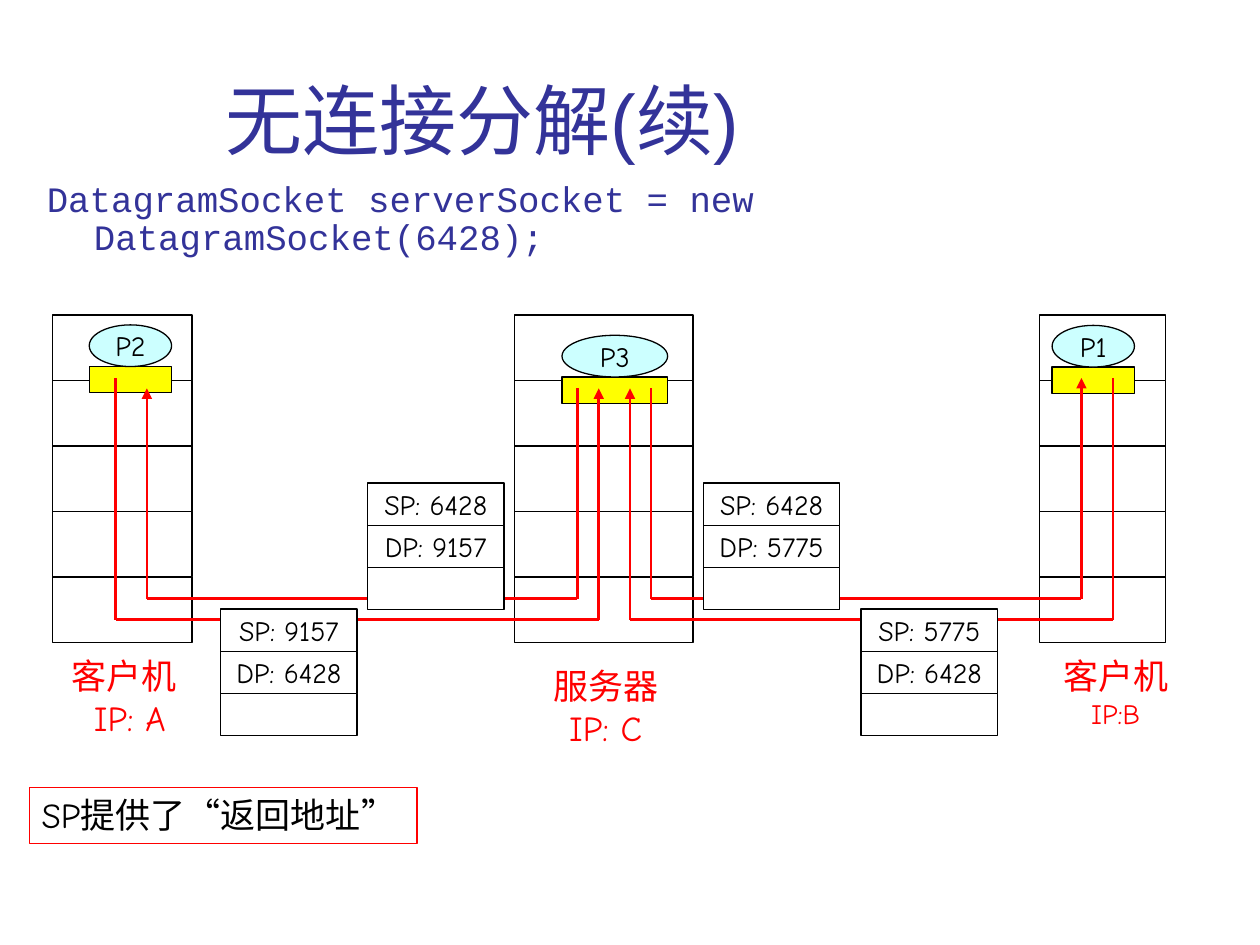
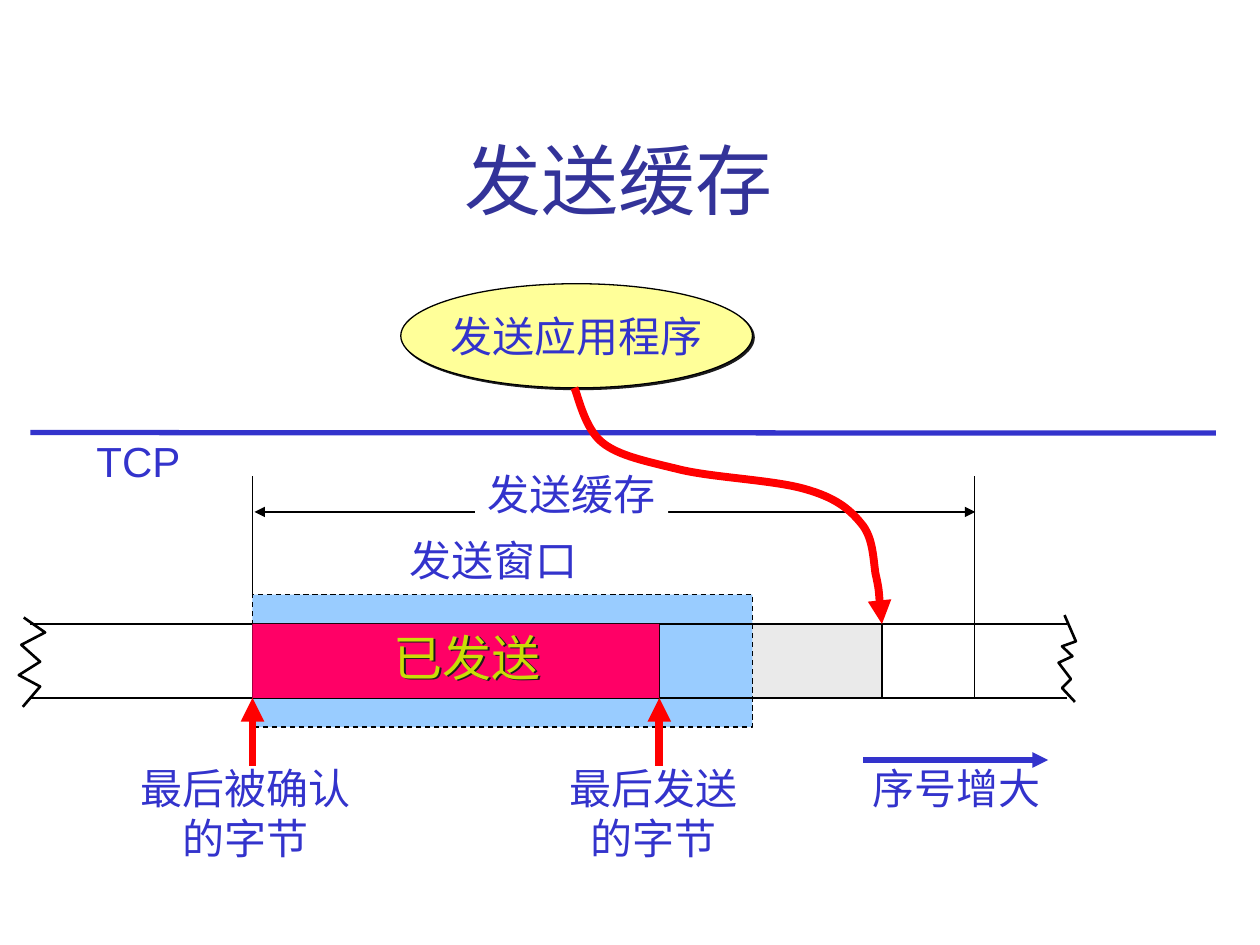
from lxml.etree import SubElement
from pptx import Presentation
from pptx.dml.color import RGBColor
from pptx.enum.dml import MSO_LINE
from pptx.enum.shapes import MSO_CONNECTOR, MSO_SHAPE as Shape
from pptx.enum.text import MSO_ANCHOR as Anchor, MSO_AUTO_SIZE as AutoSize, PP_ALIGN as Align
from pptx.oxml.ns import qn
from pptx.util import Cm, Pt

COLORS = {
    "title": "333399", "label": "3333CC", "red": "FF0000", "black": "000000",
    "white": "FFFFFF", "port": "FFFF00", "process": "CCFFFF", "app": "FFFF99",
    "window": "99CCFF", "written": "EAEAEA", "sent": "FF0066",
    "sent_text": "C9DE06", "shadow": "1C1C1C",
}
SANS, COMIC, CODE = "Arial", "Comic Neue", "Courier New"
TITLE_AND_BODY, TITLE_ONLY = 1, 5


def rgb(name):
    return RGBColor.from_string(COLORS[name])


def write(frame, text, font=SANS, size=24, last_size=None, color="label",
          align=Align.CENTER, anchor=Anchor.TOP, wrap=False, fit=AutoSize.NONE):
    frame.word_wrap = wrap
    frame.auto_size = fit
    frame.vertical_anchor = anchor
    lines = text.split("\n")
    for number, line in enumerate(lines):
        paragraph = frame.paragraphs[0] if number == 0 else frame.add_paragraph()
        paragraph.alignment = align
        run = paragraph.add_run()
        run.text = line
        run.font.name = font
        is_last = number == len(lines) - 1
        run.font.size = Pt(last_size if last_size and is_last else size)
        run.font.color.rgb = rgb(color)


class Deck:
    """Holds the style and the current slide, and draws each kind of element."""

    def __init__(self):
        self.presentation = Presentation()
        self.presentation.slide_width = Cm(25.4)
        self.presentation.slide_height = Cm(19.05)
        self.slide = None

    def new_slide(self, layout, title, box, align):
        self.slide = self.presentation.slides.add_slide(
            self.presentation.slide_layouts[layout])
        self.place(self.slide.shapes.title, box)
        write(self.slide.shapes.title.text_frame, title, size=44, color="title",
              align=align, anchor=Anchor.BOTTOM, wrap=True)

    def place(self, shape, box):
        shape.left, shape.top, shape.width, shape.height = map(Cm, box)

    def body(self, text, box):
        placeholder = self.slide.placeholders[1]
        self.place(placeholder, box)
        write(placeholder.text_frame, text, font=CODE, size=20.4, color="title",
              align=Align.LEFT, wrap=True)
        paragraph = placeholder.text_frame.paragraphs[0]
        paragraph.line_spacing = 0.9
        paragraph.space_before = Pt(6)
        properties = paragraph._p.get_or_add_pPr()
        properties.set("marL", str(Cm(0.95)))
        properties.set("indent", str(-Cm(0.95)))
        SubElement(properties, qn("a:buNone"))

    def stroke(self, shape, color, width, arrows=()):
        shape.line.color.rgb = rgb(color)
        shape.line.width = Pt(width)
        outline = shape.element.spPr.find(qn("a:ln"))
        for end in arrows:
            SubElement(outline, qn(f"a:{end}End"), type="triangle")

    def shape(self, box, fill=None, line="black", kind=Shape.RECTANGLE, text=None, **style):
        shape = self.slide.shapes.add_shape(kind, *map(Cm, box))
        shape.shadow.inherit = False
        if fill:
            shape.fill.solid()
            shape.fill.fore_color.rgb = rgb(fill)
        else:
            shape.fill.background()
        if line:
            self.stroke(shape, line, 0.75)
        else:
            shape.line.fill.background()
        if text:
            write(shape.text_frame, text, **{"anchor": Anchor.MIDDLE, **style})
        return shape

    def label(self, text, box, **style):
        box_shape = self.slide.shapes.add_textbox(*map(Cm, box))
        write(box_shape.text_frame, text, fit=AutoSize.SHAPE_TO_FIT_TEXT, **style)
        return box_shape

    def line(self, start, end, color="black", width=0.75, arrows=()):
        connector = self.slide.shapes.add_connector(
            MSO_CONNECTOR.STRAIGHT, *map(Cm, (*start, *end)))
        self.stroke(connector, color, width, arrows)
        SubElement(connector.element.spPr, qn("a:effectLst"))

    def outline(self, points, color="black", width=1.5, arrows=(), curved=False):
        start, *rest = [(Cm(x), Cm(y)) for x, y in points]
        builder = self.slide.shapes.build_freeform(*start)
        builder.add_line_segments(rest, close=False)
        shape = builder.convert_to_shape()
        shape.shadow.inherit = False
        shape.fill.background()
        self.stroke(shape, color, width, arrows)
        if curved:
            segments = list(shape.element.iter(qn("a:lnTo")))
            trace = segments[0].getparent()
            for first in range(0, len(segments), 3):
                curve = SubElement(trace, qn("a:cubicBezTo"))
                for segment in segments[first:first + 3]:
                    curve.append(segment[0])
                    trace.remove(segment)

    def cast_shadow(self, shape):
        properties = shape.element.spPr
        effects = properties.find(qn("a:effectLst"))
        if effects is None:
            effects = SubElement(properties, qn("a:effectLst"))
        shadow = SubElement(effects, qn("a:outerShdw"), blurRad="0",
                            dist=str(Pt(1.4)), dir="2700000", algn="ctr", rotWithShape="0")
        SubElement(shadow, qn("a:srgbClr"), val=COLORS["shadow"])

    def host(self, left, width, process, oval_left, oval_top, oval_width):
        row, oval_height = 1.32, 0.84
        for layer in range(5):
            self.shape((left, 6.35 + layer * row, width, row), "white")
        self.shape((oval_left, oval_top + oval_height, oval_width, 0.53), "port")
        self.shape((oval_left, oval_top, oval_width, oval_height), "process",
                   kind=Shape.OVAL, text=process, font=COMIC, size=16, color="black")

    def route(self, start, level, end):
        corners = [start, (start[0], level), (end[0], level), end]
        for index in range(3):
            self.line(corners[index], corners[index + 1], "red", 1.5,
                      ("tail",) if index == 2 else ())

    def packet(self, left, top, source, destination):
        row = 0.85
        for index, text in enumerate((f"SP: {source}", f"DP: {destination}", None)):
            self.shape((left, top + index * row, 2.75, row), "white", text=text,
                       font=COMIC, size=16, color="black")


def build_demultiplexing(deck):
    deck.new_slide(TITLE_AND_BODY, "无连接分解(续)", (4.29, 1.12, 15.9, 2.34), Align.LEFT)
    deck.body("DatagramSocket serverSocket = new DatagramSocket(6428);",
              (0.69, 3.53, 24.13, 1.7))
    deck.host(1.06, 2.81, "P2", 1.8, 6.55, 1.66)
    deck.host(20.96, 2.54, "P1", 21.21, 6.56, 1.66)
    deck.host(10.37, 3.6, "P3", 11.33, 6.76, 2.13)

    for text, left, top, height, last_size in (
            ("客户机\n IP: A", 1.19, 13.06, 1.96, 20),
            ("服务器\nIP: C", 10.9, 13.27, 1.96, 20),
            ("客户机\nIP:B", 21.18, 13.06, 1.78, 16)):
        deck.label(text, (left, top, 2.62, height), font=COMIC, size=20,
                   last_size=last_size, color="red")

    request_level, reply_level = 12.49, 12.07
    deck.route((2.33, 7.62), request_level, (12.07, 7.83))
    deck.route((11.64, 7.83), reply_level, (2.96, 7.83))
    deck.route((22.44, 7.62), request_level, (12.7, 7.83))
    deck.route((13.12, 7.83), reply_level, (21.8, 7.62))

    request_top, reply_top = 12.28, 9.74
    deck.packet(7.41, reply_top, 6428, 9157)
    deck.packet(4.45, request_top, 9157, 6428)
    deck.packet(14.18, reply_top, 6428, 5775)
    deck.packet(17.36, request_top, 5775, 6428)
    deck.shape((0.59, 15.88, 7.82, 1.12), line="red", text="SP提供了“返回地址”",
               font=COMIC, size=20, color="black", align=Align.LEFT,
               anchor=Anchor.TOP, fit=AutoSize.SHAPE_TO_FIT_TEXT)


def build_send_buffer(deck):
    strip_top, strip_bottom = 12.58, 14.07
    strip_height = strip_bottom - strip_top
    acked, sent, written, buffer_end = 5.09, 13.29, 17.78, 19.64
    marks_top = 9.6

    deck.new_slide(TITLE_ONLY, "发送缓存 ", (3.2, 0.6, 18.9, 4.06), Align.CENTER)
    deck.line((5.13, 10.32), (19.66, 10.32), arrows=("head", "tail"))
    deck.shape((sent, strip_top, written - sent, strip_height), "written", None)
    application = deck.shape((8.08, 5.72, 7.09, 2.1), "app", kind=Shape.OVAL,
                             text="发送应用程序")
    deck.cast_shadow(application)
    deck.line((0.61, 8.72), (24.51, 8.73), "label", 3)
    window = deck.shape((acked, 11.99, 10.08, 2.67), "window")
    window.line.dash_style = MSO_LINE.DASH

    for y in (strip_top, strip_bottom):
        deck.line((0.61, y), (21.51, y))
    for x in (acked, sent, written):
        deck.line((x, strip_top), (x, strip_bottom))
    deck.shape((9.58, 9.32, 3.89, 1.27), "white", None, text="发送缓存",
               anchor=Anchor.TOP, fit=AutoSize.SHAPE_TO_FIT_TEXT)
    deck.shape((acked, strip_top, sent - acked, strip_height), "sent", None)
    sent_label = deck.label("已发送", (7.42, 12.52, 4, 1.45), size=28, color="sent_text")
    deck.cast_shadow(sent_label)

    for x in (acked, sent):
        deck.line((x, 15.44), (x, strip_bottom), "red", 4.5, ("tail",))
    deck.line((acked, marks_top), (acked, 11.99))
    deck.line((buffer_end, marks_top), (buffer_end, strip_bottom))
    deck.outline([
        (11.58, 7.82), (11.66, 8), (11.79, 8.64), (12.14, 8.92),
        (12.47, 9.19), (13.03, 9.3), (13.72, 9.47),
        (14.4, 9.63), (15.62, 9.68), (16.23, 9.86),
        (16.84, 10.03), (17.12, 10.26), (17.35, 10.54),
        (17.6, 10.82), (17.6, 11.23), (17.65, 11.56),
        (17.73, 11.91), (17.75, 12.37), (written, strip_top),
    ], "red", 4.5, ("tail",), curved=True)
    deck.outline([(21.46, 12.4), (21.69, 12.93), (21.41, 13.03), (21.62, 13.23),
                  (21.34, 13.36), (21.59, 13.69), (21.41, 13.87), (21.67, 14.15)])
    deck.outline([(0.48, 12.45), (0.91, 12.75), (0.43, 13), (0.81, 13.34),
                  (0.38, 13.61), (0.81, 13.84), (0.46, 14.25)])
    deck.line((17.4, 15.32), (21.13, 15.32), "label", 3, ("tail",))

    for text, box in (
            ("最后被确认\n的字节", (2.35, 15.24, 5.2, 2.29)),
            ("最后发送\n的字节", (11.08, 15.24, 4.2, 2.29)),
            ("发送窗口", (7.84, 10.65, 4.2, 1.27)),
            ("TCP", (1.49, 8.66, 2.6, 1.27)),
            ("序号增大", (17.18, 15.24, 4.2, 1.27))):
        deck.label(text, box)


def main():
    deck = Deck()
    build_demultiplexing(deck)
    build_send_buffer(deck)
    deck.presentation.save("out.pptx")


if __name__ == "__main__":
    main()
